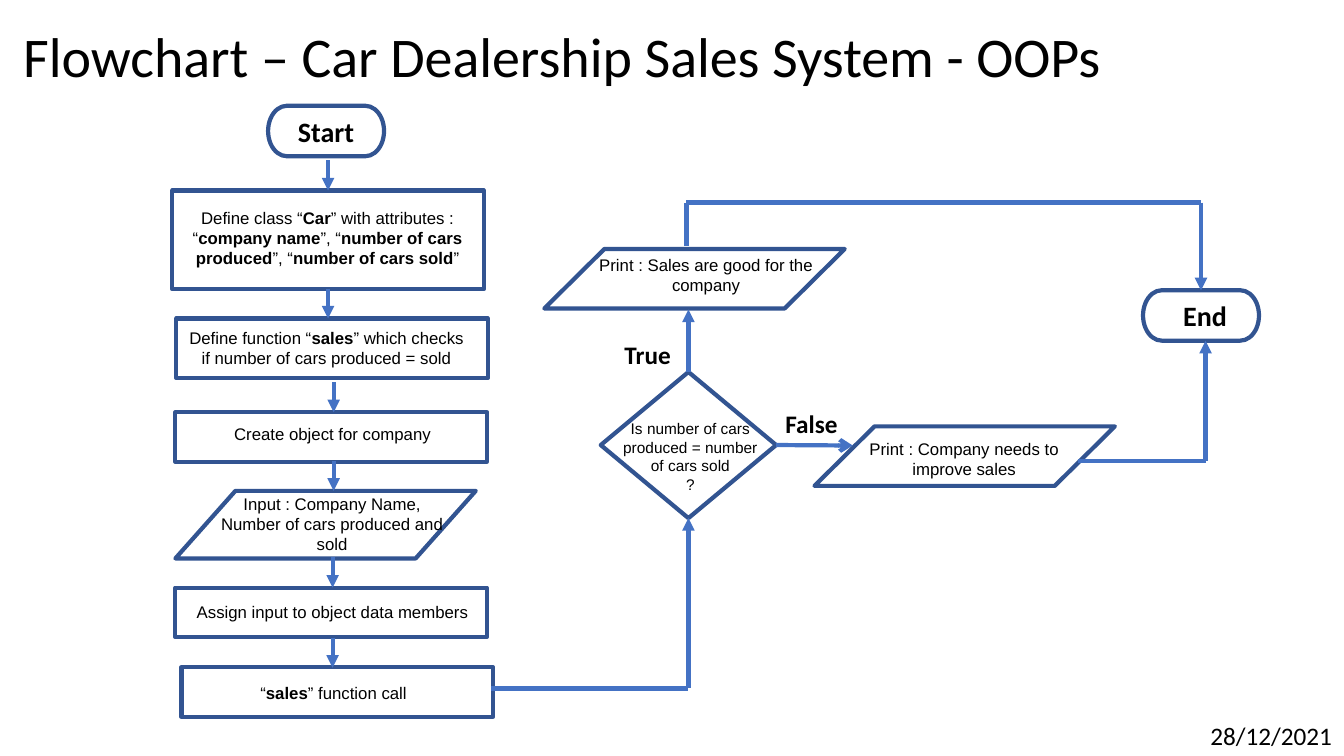
from dataclasses import dataclass

from lxml import etree
from pptx import Presentation
from pptx import util as u
from pptx.dml.color import RGBColor
from pptx.enum import shapes, text
from pptx.oxml.ns import qn


@dataclass(frozen=True)
class Theme:
    ink: RGBColor = RGBColor(0x00, 0x00, 0x00)
    outline: RGBColor = RGBColor(0x32, 0x54, 0x91)
    arrow: RGBColor = RGBColor(0x44, 0x72, 0xC4)
    heading_font: str = "Calibri"
    body_font: str = "Arial"
    title: int = 40
    terminal: int = 20
    caption: int = 18
    body: int = 12
    small: int = 11
    line: int = 3


THEME = Theme()
KIND = shapes.MSO_SHAPE
TOP, BOTTOM, RIGHT = 0, 2, 3  # connection sites

# The slide is a grid of 160 columns by 90 rows
WIDTH, HEIGHT = u.Inches(13.333), u.Inches(7.5)
COLUMN, ROW = WIDTH / 160, HEIGHT / 90

# Repeated sizes, in columns and rows
TERMINAL = (13.8, 6)
STEP_WIDTH, DATA_WIDTH = 37.08, 35.76
STEP_TEXT, DATA_TEXT = 36, 29.4


def grid(*lengths):
    """Turn alternating column and row counts into slide lengths."""
    return [round(value * (ROW if index % 2 else COLUMN))
            for index, value in enumerate(lengths)]


def write(frame, words, size=THEME.body, font=THEME.body_font, bold=False,
          align=text.PP_ALIGN.CENTER, wrap=True):
    """Fill a text frame; words between asterisks are bold."""
    frame.word_wrap = wrap
    for index, line in enumerate(words.split("\n")):
        para = frame.add_paragraph() if index else frame.paragraphs[0]
        para.alignment = align
        for number, part in enumerate(line.split("*")):
            if not part:
                continue
            span = para.add_run()
            span.text = part
            span.font.name = font
            span.font.size = u.Pt(size)
            span.font.bold = bold or number % 2 == 1
            span.font.color.rgb = THEME.ink


def label(page, area, words, **style):
    box = page.shapes.add_textbox(*grid(*area))
    write(box.text_frame, words, **style)


def node(page, kind, area, words, words_area, **style):
    """Draw an outlined flowchart symbol with its wording."""
    box = page.shapes.add_shape(kind, *grid(*area))
    box.shadow.inherit = False
    box.fill.background()
    box.line.color.rgb = THEME.outline
    box.line.width = u.Pt(THEME.line)
    label(page, words_area, words, **style)
    return box


def terminal(page, left, top, words, words_left, words_top):
    return node(page, KIND.FLOWCHART_TERMINATOR, (left, top, *TERMINAL), words,
                (words_left, words_top, 10.68, 5.28),
                size=THEME.terminal, font=THEME.heading_font, bold=True)


def step(page, left, top, height, words, words_left, words_top, words_height):
    return node(page, KIND.FLOWCHART_PROCESS, (left, top, STEP_WIDTH, height), words,
                (words_left, words_top, STEP_TEXT, words_height))


def data(page, left, top, height, words, words_left, words_top, words_height):
    return node(page, KIND.FLOWCHART_DATA, (left, top, DATA_WIDTH, height), words,
                (words_left, words_top, DATA_TEXT, words_height))


def route(page, *points, start=None, end=None, head="triangle"):
    """Join the points with straight lines, the last one ending in an arrowhead.

    start and end are (box, site) pairs to attach to.
    """
    last = len(points) - 2
    for index, (origin, target) in enumerate(zip(points, points[1:])):
        link = page.shapes.add_connector(shapes.MSO_CONNECTOR.STRAIGHT,
                                         *grid(*origin, *target))
        link.line.color.rgb = THEME.arrow
        link.line.width = u.Pt(THEME.line)
        if start and index == 0:
            link.begin_connect(*start)
        if index == last:
            if end:
                link.end_connect(*end)
            tip = etree.SubElement(link.line._get_or_add_ln(), qn("a:tailEnd"))
            tip.set("type", head)
        properties = link._element.spPr
        etree.SubElement(properties, qn("a:effectLst"))


def add_heading(page):
    title = page.shapes.title
    title.left, title.top, title.width, title.height = grid(1.56, -1.68, 138, 17.4)
    frame = title.text_frame
    frame.auto_size = text.MSO_AUTO_SIZE.NONE
    frame.vertical_anchor = text.MSO_ANCHOR.MIDDLE
    write(frame, "Flowchart – Car Dealership Sales System - OOPs",
          size=THEME.title, font=THEME.heading_font, align=text.PP_ALIGN.LEFT)
    frame.paragraphs[0].line_spacing = 0.9
    label(page, (142.92, 85.2, 17.04, 4.8), "28/12/2021", size=THEME.caption,
          font=THEME.heading_font, align=text.PP_ALIGN.LEFT, wrap=False)


def add_setup_steps(page):
    """The left column, from Start to the function call."""
    terminal(page, 31.92, 12.6, "Start", 33.48, 13.08)
    car_class = step(page, 20.52, 22.68, 11.76,
                     "Define class “*Car*” with attributes : “*company name*”, "
                     "“*number of cars produced*”, “*number of cars sold*”",
                     21, 24.12, 8.52)
    step(page, 21, 37.92, 7.08,
         "Define function “*sales*” which checks if number of cars produced = sold",
         20.88, 38.4, 6)
    step(page, 20.88, 49.08, 5.88, "Create object for company", 21.6, 49.8, 3.6)
    data(page, 20.88, 58.44, 8.04,
         "Input : Company Name, Number of cars produced and sold", 24.84, 58.2, 8.52)
    step(page, 20.88, 69.96, 5.88, "Assign input to object data members",
         21.6, 71.04, 3.6)
    step(page, 21.6, 79.44, 5.88, "“*sales*” function call", 21.72, 80.64, 3.6)

    # Downward arrows
    route(page, (39.06, 19.08), (39.06, 22.68), end=(car_class, TOP))
    route(page, (39.06, 34.44), (39.06, 37.92), start=(car_class, BOTTOM))
    for column, top in ((39.72, 45.48), (39.72, 54.84), (39.6, 66.36), (39.6, 75.9)):
        route(page, (column, top), (column, top + 3.6))


def add_decision(page):
    """The check on sales, its two results and End."""
    check = node(page, KIND.FLOWCHART_DECISION, (71.52, 44.28, 20.88, 17.4),
                 "Is number of cars produced = number of cars sold\n?",
                 (72.84, 49.32, 18.72, 10.08), size=THEME.small)
    data(page, 64.8, 29.64, 7.08, "Print : Sales are good for the company",
         69.36, 29.76, 6)
    data(page, 96.96, 50.76, 7.08, "Print : Company needs to improve sales",
         100.08, 51.6, 6)
    finish = terminal(page, 136.08, 34.56, "End", 138.12, 34.92)

    # Branch names
    for words, area in (("True", (72.96, 39.84, 8.28, 4.8)),
                        ("False", (91.56, 48, 10.08, 4.8))):
        label(page, area, words, size=THEME.caption, font=THEME.heading_font, bold=True)

    # Arrows into and out of the check
    route(page, (58.44, 81.96), (81.96, 81.96), (81.96, 61.68), end=(check, BOTTOM))
    route(page, (81.96, 44.28), (81.96, 36.84), start=(check, TOP))
    route(page, (92.4, 52.98), (101.52, 53.04), start=(check, RIGHT), head="arrow")

    # Arrows to End
    route(page, (81.72, 29.28), (81.72, 24.12), (142.98, 24.12), (142.98, 34.56),
          end=(finish, TOP))
    route(page, (128.28, 54.84), (143.52, 54.84), (143.52, 40.56))


def main():
    deck = Presentation()
    deck.slide_width, deck.slide_height = WIDTH, HEIGHT
    page = deck.slides.add_slide(deck.slide_layouts.get_by_name("Title Only"))
    add_heading(page)
    add_setup_steps(page)
    add_decision(page)
    deck.save("out.pptx")


if __name__ == "__main__":
    main()
